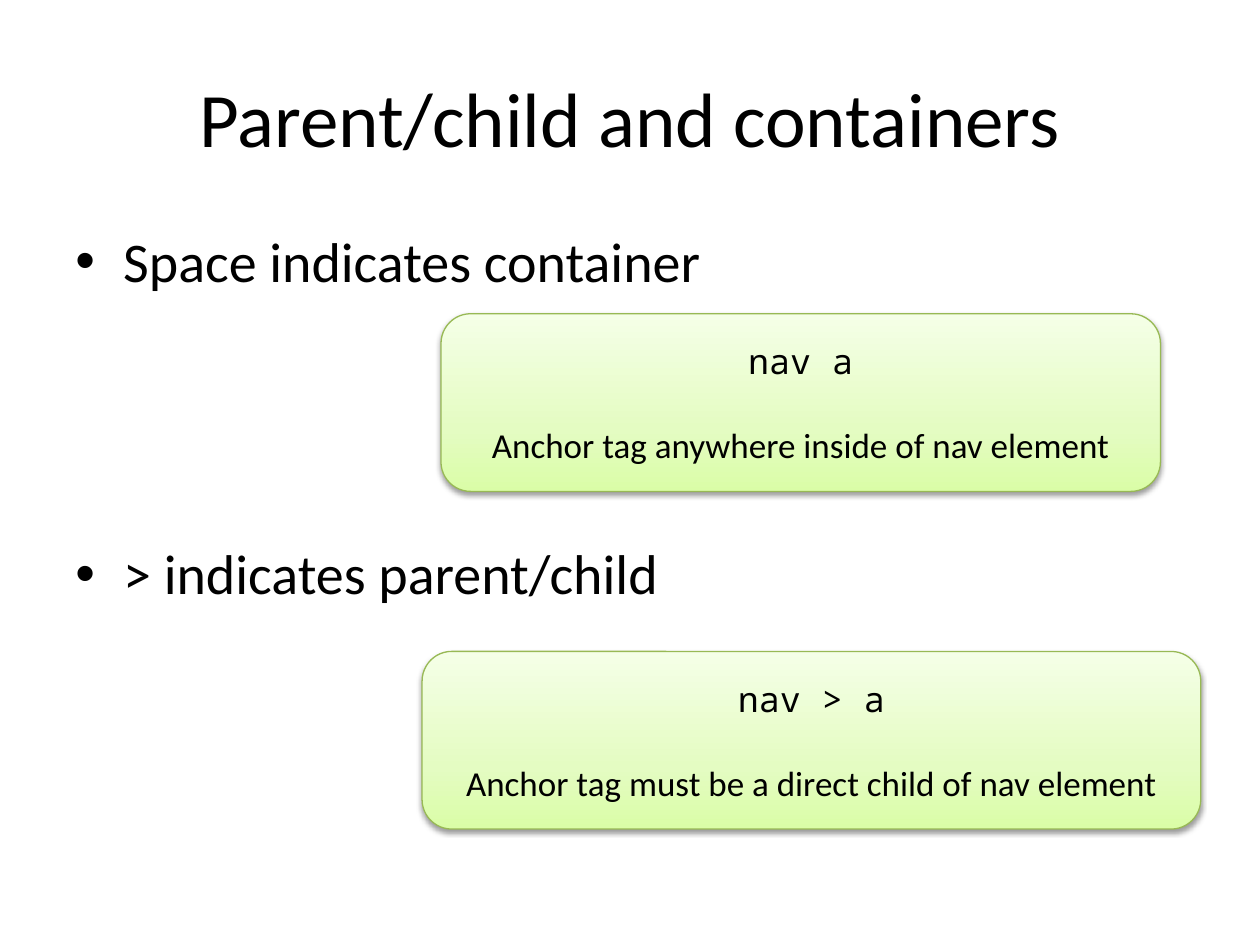
from pptx import Presentation
from pptx.dml.color import RGBColor
from pptx.enum.shapes import MSO_SHAPE
from pptx.enum.text import MSO_ANCHOR, PP_ALIGN
from pptx.oxml import parse_xml
from pptx.oxml.ns import nsdecls
from pptx.util import Inches, Pt

ROUND = MSO_SHAPE.ROUNDED_RECTANGLE
MIDDLE, TOP = MSO_ANCHOR.MIDDLE, MSO_ANCHOR.TOP
CENTER, LEFT = PP_ALIGN.CENTER, PP_ALIGN.LEFT

BLACK = RGBColor(0x00, 0x00, 0x00)
EDGE = RGBColor(0x98, 0xB9, 0x55)
STOPS = [
    (0, RGBColor(0xDA, 0xFD, 0xA7)),
    (35, RGBColor(0xE4, 0xFC, 0xC2)),
    (100, RGBColor(0xF5, 0xFF, 0xE7)),
]
SANS, MONO = "Calibri", "Noto Sans Mono"

# Left, top, width, code and meaning of each example
CARDS = [
    (3.5, 2.49, 5.71, "nav a", "Anchor tag anywhere inside of nav element"),
    (3.35, 5.17, 6.18, "nav > a",
     "Anchor tag must be a direct child of nav element"),
]
CARD_HEIGHT = 1.41


def set_all(target, values):
    for name, value in values.items():
        setattr(target, name, value)


def set_frame(frame, anchor):
    set_all(frame, {"word_wrap": True, "vertical_anchor": anchor})


def add_box(slide, left, top, width, height, anchor):
    box = slide.shapes.add_textbox(
        Inches(left), Inches(top), Inches(width), Inches(height))
    set_frame(box.text_frame, anchor)
    return box.text_frame


def write(para, text, size, font=SANS, align=LEFT, gap=0):
    """Fill a paragraph; gap is the space before it in points."""
    set_all(para, {"alignment": align, "space_before": Pt(gap)})
    run = para.add_run()
    run.text = text
    set_all(run.font, {"name": font, "size": Pt(size)})
    run.font.color.rgb = BLACK


def add_bullet(para):
    props = para._p.get_or_add_pPr()
    indent = Inches(0.38)
    props.set("marL", str(indent))
    props.set("indent", str(-indent))
    props.append(parse_xml(
        f'<a:buFont {nsdecls("a")} typeface="Arial"/>'))
    props.append(parse_xml(f'<a:buChar {nsdecls("a")} char="•"/>'))


def add_fade(shape):
    """Add the upward green gradient and the soft shadow."""
    stops = "".join(
        f'<a:gs pos="{pos * 1000}"><a:srgbClr val="{color}"/></a:gs>'
        for pos, color in STOPS)
    props = shape._element.spPr
    props.insert(2, parse_xml(
        f'<a:gradFill {nsdecls("a")} rotWithShape="1">'
        f'<a:gsLst>{stops}</a:gsLst>'
        '<a:lin ang="16200000" scaled="0"/></a:gradFill>'))
    props.append(parse_xml(
        f'<a:effectLst {nsdecls("a")}>'
        f'<a:outerShdw blurRad="{Pt(3.1)}" dist="{Pt(1.6)}" dir="5400000" '
        f'rotWithShape="0"><a:srgbClr val="{BLACK}">'
        '<a:alpha val="38000"/></a:srgbClr></a:outerShdw></a:effectLst>'))


def add_card(slide, left, top, width, code, meaning):
    card = slide.shapes.add_shape(
        ROUND, Inches(left), Inches(top), Inches(width), Inches(CARD_HEIGHT))
    card.line.color.rgb = EDGE
    card.line.width = Pt(0.75)
    add_fade(card)
    frame = card.text_frame
    set_frame(frame, MIDDLE)
    write(frame.paragraphs[0], code, 20, MONO, CENTER)
    write(frame.add_paragraph(), meaning, 20, align=CENTER, gap=24)


def add_title(slide, text):
    frame = add_box(slide, 0.5, 0.3, 9, 1.25, MIDDLE)
    write(frame.paragraphs[0], text, 44, align=CENTER)


def add_points(slide, points):
    frame = add_box(slide, 0.5, 1.75, 9, 4.95, TOP)
    for index, text in enumerate(points):
        para = frame.add_paragraph() if index else frame.paragraphs[0]
        write(para, text, 32, gap=140 if index else 0)
        add_bullet(para)


def main():
    deck = Presentation()
    set_all(deck, {"slide_width": Inches(10), "slide_height": Inches(7.5)})
    slide = deck.slides.add_slide(deck.slide_layouts[6])
    add_title(slide, "Parent/child and containers")
    add_points(slide, ["Space indicates container",
                       "> indicates parent/child"])
    for card in CARDS:
        add_card(slide, *card)
    deck.save("out.pptx")


if __name__ == "__main__":
    main()
